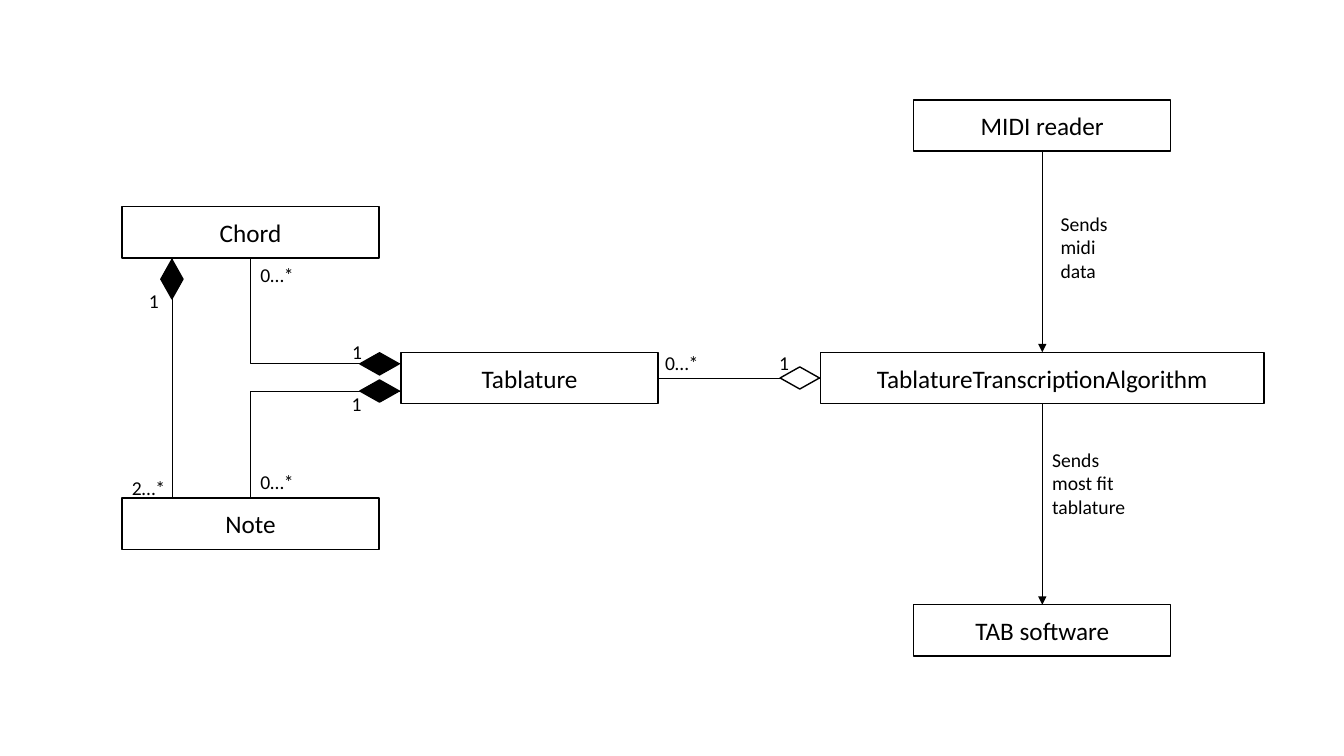
from dataclasses import dataclass
from typing import Any

from lxml import etree
from pptx import Presentation
from pptx import util as u
from pptx.dml import color
from pptx.enum import shapes, text
from pptx.oxml import ns

INK, PAPER = "000000", "FFFFFF"
MID = 50
LEFT, CORE, RIGHT = 18.64, 39.41, 77.55
BOX_W, BOX_H = 19.12, 6.8
WIDE = 33
NEAR, FAR = 19.27, 33.4
HALF = BOX_H / 2
HUB = CORE - BOX_W / 2
UPPER, LOWER = 48.13, 51.73
STEM = 12.79

deck = Presentation()
deck.slide_width, deck.slide_height = u.Inches(13.33), u.Inches(7.5)
slide = deck.slides.add_slide(deck.slide_layouts[6])


@dataclass
class Box:
    name: str
    x: float
    y: float
    w: float = BOX_W


@dataclass
class Gem:
    x: float
    y: float
    fill: str = INK
    turn: int = 0


@dataclass
class Link:
    x1: float
    y1: float
    x2: float
    y2: float
    arrow: bool = False


@dataclass
class Label:
    words: str
    x: float
    y: float
    w: float = 9.6
    h: float = 4.53


def across(share: float) -> int:
    return round(deck.slide_width * share / 100)


def down(share: float) -> int:
    return round(deck.slide_height * share / 100)


def paint(code: str) -> color.RGBColor:
    return color.RGBColor.from_string(code)


def apply(item: Any, style: dict[str, Any]) -> None:
    for key, value in style.items():
        setattr(item, key, value)


def write(frame: Any, words: str, size: int, style: dict[str, Any]) -> None:
    apply(frame, {"word_wrap": True, **style})
    run = frame.paragraphs[0].add_run()
    run.text = words
    apply(run.font, {"name": "Calibri", "size": u.Pt(size)})
    run.font.color.rgb = paint(INK)


def draw_shape(kind: Any, x: float, y: float, w: float, h: float, fill: str) -> Any:
    shape = slide.shapes.add_shape(
        kind, across(x - w / 2), down(y - h / 2), across(w), down(h))
    shape.shadow.inherit = False
    shape.fill.solid()
    shape.fill.fore_color.rgb = paint(fill)
    shape.line.color.rgb = paint(INK)
    shape.line.width = u.Pt(1)
    return shape


def draw_box(box: Box) -> None:
    shape = draw_shape(shapes.MSO_SHAPE.RECTANGLE, box.x, box.y, box.w, BOX_H, PAPER)
    write(shape.text_frame, box.name, 18, {"vertical_anchor": text.MSO_ANCHOR.MIDDLE})
    shape.text_frame.paragraphs[0].alignment = text.PP_ALIGN.CENTER


def draw_gem(gem: Gem) -> None:
    shape = draw_shape(shapes.MSO_SHAPE.DIAMOND, gem.x, gem.y, 2.93, 2.93, gem.fill)
    shape.rotation = gem.turn


def draw_link(link: Link) -> None:
    bent = link.x1 != link.x2 and link.y1 != link.y2
    kind = shapes.MSO_CONNECTOR.ELBOW if bent else shapes.MSO_CONNECTOR.STRAIGHT
    line = slide.shapes.add_connector(
        kind, across(link.x1), down(link.y1), across(link.x2), down(link.y2))
    line.line.color.rgb = paint(INK)
    line.line.width = u.Pt(0.5)
    props = line._element.spPr
    if bent:
        props.find(ns.qn("a:prstGeom")).set("prst", "bentConnector2")
    if link.arrow:
        etree.SubElement(props.find(ns.qn("a:ln")), ns.qn("a:tailEnd"), type="triangle")
    etree.SubElement(props, ns.qn("a:effectLst"))


def draw_label(label: Label) -> None:
    note = slide.shapes.add_textbox(
        across(label.x), down(label.y), across(label.w), down(label.h))
    write(note.text_frame, label.words, 14,
          {"auto_size": text.MSO_AUTO_SIZE.SHAPE_TO_FIT_TEXT})


BOXES = [
    Box("Chord", LEFT, MID - NEAR),
    Box("Note", LEFT, MID + NEAR),
    Box("MIDI reader", RIGHT, MID - FAR),
    Box("TAB software", RIGHT, MID + FAR),
    Box("Tablature", CORE, MID),
    Box("TablatureTranscriptionAlgorithm", RIGHT, MID, WIDE),
]
LINKS = [
    Link(CORE + BOX_W / 2, MID, RIGHT - WIDE / 2, MID),
    Link(HUB, UPPER, LEFT, MID - NEAR + HALF),
    Link(HUB, LOWER, LEFT, MID + NEAR - HALF),
    Link(STEM, MID + NEAR - HALF, STEM, MID - NEAR + HALF),
    Link(RIGHT, MID - FAR + HALF, RIGHT, MID - HALF, True),
    Link(RIGHT, MID + HALF, RIGHT, MID + FAR - HALF, True),
]
GEMS = [
    Gem(28.24, UPPER),
    Gem(28.24, LOWER),
    Gem(59.51, MID, PAPER),
    Gem(STEM, 36.93, turn=90),
]
LABELS = [
    Label("0…*", LEFT, 34.13),
    Label("0…*", LEFT, 61.47),
    Label("1", 25.47, 44.27),
    Label("1", 25.43, 51.2),
    Label("0…*", 48.76, 45.73),
    Label("1", 57.24, 45.73),
    Label("2…*", 9.08, 62.27),
    Label("1", 10.35, 37.6),
    Label("Sends midi data", 78.17, 27.33, 6.75, 10.8),
    Label("Sends most fit tablature", RIGHT, 58.53, 7.95, 10.8),
]

for draw, items in (
    (draw_box, BOXES), (draw_link, LINKS), (draw_gem, GEMS), (draw_label, LABELS),
):
    for item in items:
        draw(item)

deck.save("out.pptx")
